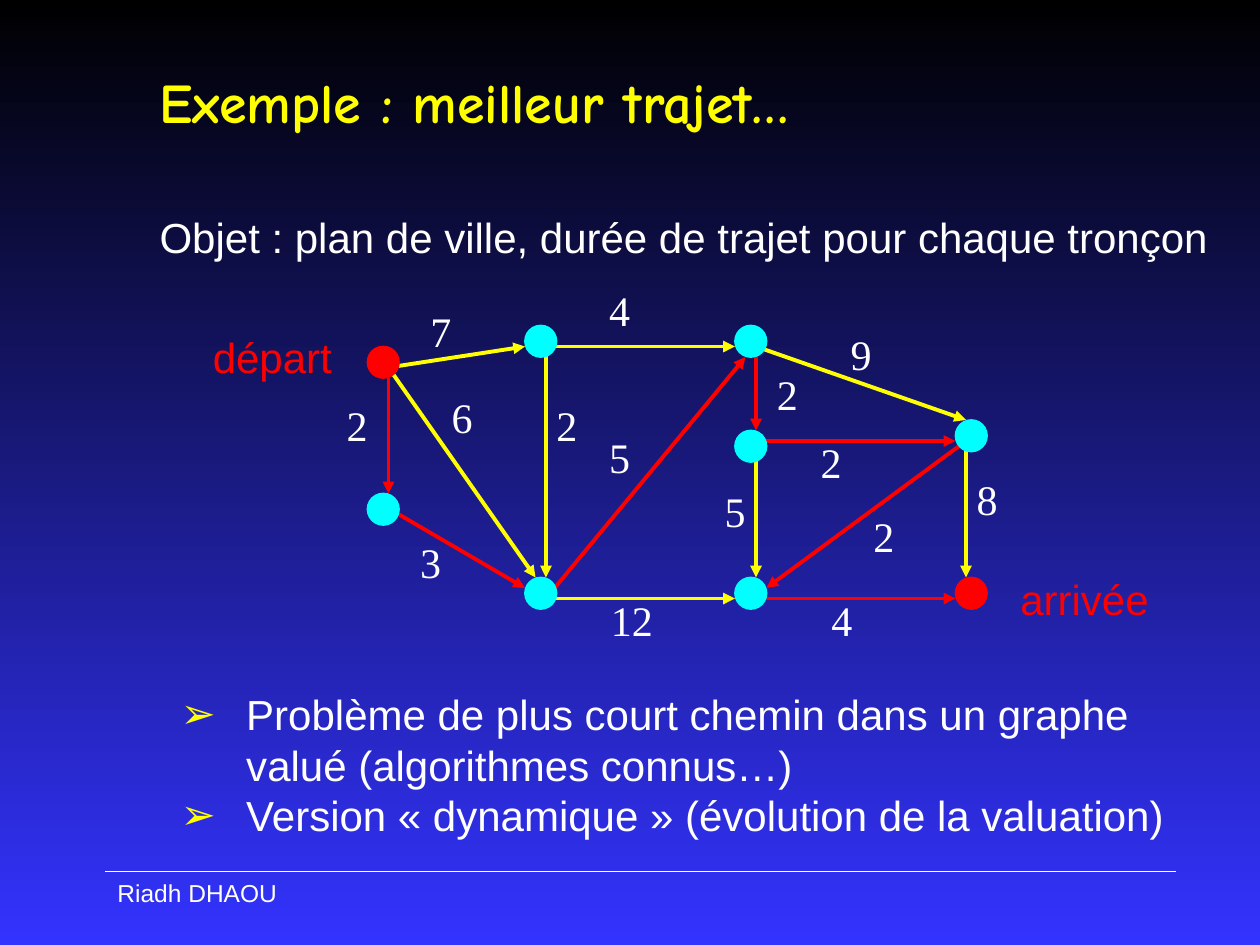
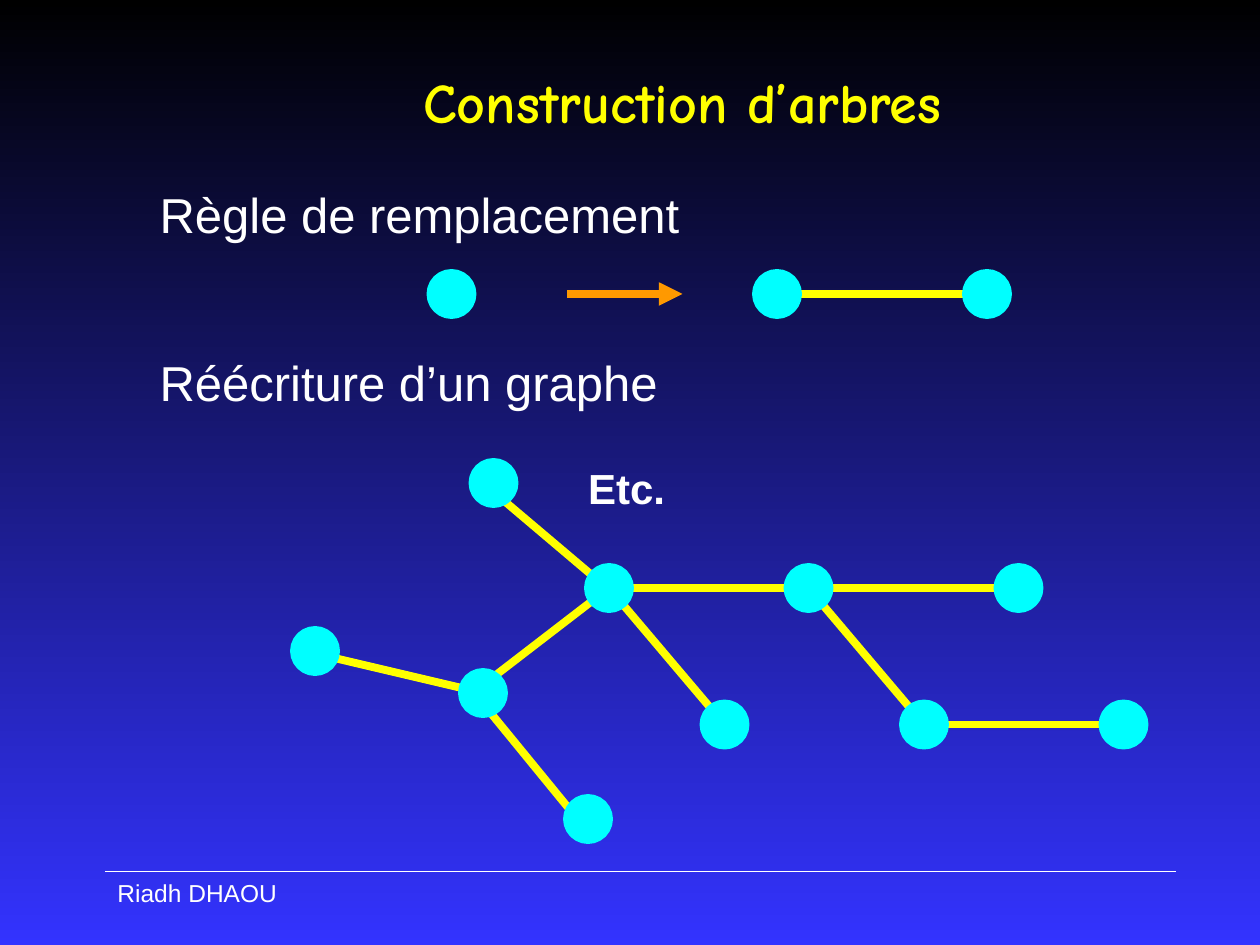
from lxml.etree import SubElement
from pptx import Presentation
from pptx.dml.color import RGBColor
from pptx.enum.shapes import MSO_CONNECTOR, MSO_SHAPE
from pptx.enum.text import MSO_ANCHOR, MSO_AUTO_SIZE, PP_ALIGN
from pptx.oxml.ns import qn
from pptx.util import Pt

COLOURS = {
    "sky": "000000", "ground": "3333FF", "text": "FFFFFF", "accent": "FFFF00",
    "node": "00FFFF", "route": "FF0000", "rewrite": "FF9900",
}
TITLE_FONT, TEXT_FONT, NUMBER_FONT = "Comic Neue", "Arial", "Times New Roman"
TITLE_BOX = (84, 13, 612, 90)
TWO_CONTENT = 3

# Graph of the town: node corners, then start, end, duration, label corner, on best route
STOPS = [(90, 0), (0, 96), (210, 60), (210, 144), (210, 0), (336, 54), (90, 144)]
TERMINALS = [(0, 12), (336, 144)]
STREETS = [
    ((12, 24), (96, 144), "6", (41, 34), False),
    ((222, 72), (222, 144), "5", (197, 88), False),
    ((102, 156), (210, 156), "12", (138, 150), False),
    ((222, 12), (342, 54), "9", (269, -2), False),
    ((342, 60), (342, 144), "8", (341, 81), False),
    ((102, 12), (210, 12), "4", (131, -27), False),
    ((102, 12), (102, 144), "2", (101, 39), False),
    ((12, 24), (90, 12), "7", (29, -15), False),
    ((102, 156), (216, 18), "5", (131, 57), True),
    ((222, 6), (222, 60), "2", (227, 21), True),
    ((228, 66), (336, 66), "2", (252, 60), True),
    ((228, 156), (336, 156), "4", (258, 150), True),
    ((342, 66), (228, 150), "2", (282, 102), True),
    ((12, 30), (12, 96), "2", (-19, 39), True),
    ((18, 108), (90, 150), "3", (23, 117), True),
]

# Tree: node corners and branch ends
TREE_NODES = [(0, 96), (156, 192), (462, 138), (102, 0), (96, 120), (402, 60),
              (234, 138), (348, 138), (282, 60), (168, 60)]
BRANCHES = [
    ((108, 132), (6, 108)), ((108, 138), (162, 204)), ((360, 150), (468, 150)),
    ((186, 78), (108, 12)), ((180, 72), (102, 132)), ((300, 72), (408, 72)),
    ((180, 72), (246, 150)), ((294, 72), (360, 150)), ((180, 72), (288, 72)),
]


def colour(name):
    return RGBColor.from_string(COLOURS[name])


def shift(origin, point):
    return origin[0] + point[0], origin[1] + point[1]


def write_text(frame, *lines, size=24, font=TEXT_FONT, ink="text", bold=False,
               align=PP_ALIGN.LEFT, anchor=MSO_ANCHOR.TOP, wrap=True,
               bullet=None, indent=0):
    """Fill a text frame, one paragraph for each line."""
    frame.auto_size = MSO_AUTO_SIZE.NONE
    frame.word_wrap = wrap
    frame.vertical_anchor = anchor
    for number, line in enumerate(lines):
        para = frame.add_paragraph() if number else frame.paragraphs[0]
        properties = para._p.get_or_add_pPr()
        properties.set("marL", str(Pt(indent)))
        properties.set("indent", str(-Pt(indent)))
        if bullet:
            tint = SubElement(properties, qn("a:buClr"))
            SubElement(tint, qn("a:srgbClr"), val=COLOURS["accent"])
            SubElement(properties, qn("a:buChar"), char=bullet)
        else:
            SubElement(properties, qn("a:buNone"))
        para.alignment = align
        para.space_before = Pt(0)
        span = para.add_run()
        span.text = line
        span.font.name = font
        span.font.size = Pt(size)
        span.font.bold = bold
        span.font.color.rgb = colour(ink)


def add_label(page, text, corner, width, height=36, **form):
    box = page.shapes.add_textbox(*map(Pt, (*corner, width, height)))
    write_text(box.text_frame, text, **form)


def fill_placeholder(page, index, box, *lines, **form):
    holder = page.placeholders[index]
    holder.left, holder.top, holder.width, holder.height = map(Pt, box)
    write_text(holder.text_frame, *lines, **form)


def add_line(page, start, end, ink="accent", weight=2.25, arrow=False):
    line = page.shapes.add_connector(MSO_CONNECTOR.STRAIGHT, *map(Pt, (*start, *end)))
    line.line.color.rgb = colour(ink)
    line.line.width = Pt(weight)
    properties = line._element.spPr
    if arrow:
        SubElement(properties.find(qn("a:ln")), qn("a:tailEnd"), type="triangle")
    SubElement(properties, qn("a:effectLst"))


def add_node(page, corner, size, weight, ink="node"):
    node = page.shapes.add_shape(MSO_SHAPE.OVAL, *map(Pt, (*corner, size, size)))
    node.shadow.inherit = False
    node.fill.solid()
    node.fill.fore_color.rgb = colour(ink)
    node.line.color.rgb = colour(ink)
    node.line.width = Pt(weight)


def paint_background(deck):
    fill = deck.slide_master.background.fill
    fill.gradient()
    fill.gradient_angle = 270
    for stop, name in zip(fill.gradient_stops, ("sky", "ground")):
        stop.color.rgb = colour(name)


def add_page(deck, title, align):
    """New slide with the shared title style and footer."""
    page = deck.slides.add_slide(deck.slide_layouts[TWO_CONTENT])
    fill_placeholder(page, 0, TITLE_BOX, title, size=32, font=TITLE_FONT,
                     ink="accent", bold=True, align=align, anchor=MSO_ANCHOR.MIDDLE)
    add_line(page, (60, 498), (672, 498), ink="text", weight=1)
    add_label(page, "Riadh DHAOU", (60, 498), 138, 24, size=14)
    return page


def draw_town(page, origin):
    """Weighted graph with its best route."""
    for start, end, duration, spot, on_route in STREETS:
        add_line(page, shift(origin, start), shift(origin, end),
                 ink="route" if on_route else "accent", arrow=True)
        add_label(page, duration, shift(origin, spot), 26, font=NUMBER_FONT,
                  align=PP_ALIGN.CENTER, wrap=False)
    for ink, corners in (("node", STOPS), ("route", TERMINALS)):
        for corner in corners:
            add_node(page, shift(origin, corner), 18, 1, ink)
    add_label(page, "départ", shift(origin, (-95.5, 0)), 82, ink="route", wrap=False)
    add_label(page, "arrivée", shift(origin, (366, 138)), 88, ink="route", wrap=False)


def draw_rule(page, origin):
    """Replacement rule: one node becomes two linked nodes."""
    add_line(page, shift(origin, (78, 12)), shift(origin, (144, 12)),
             ink="rewrite", weight=4.5, arrow=True)
    add_line(page, shift(origin, (204, 12)), shift(origin, (312, 12)), weight=4.5)
    for left in (0, 186, 306):
        add_node(page, shift(origin, (left, 0)), 24, 4.5)


def draw_tree(page, origin):
    """Tree grown by the rule."""
    for start, end in BRANCHES:
        add_line(page, shift(origin, start), shift(origin, end), weight=4.5)
    for corner in TREE_NODES:
        add_node(page, shift(origin, corner), 24, 4.5)
    add_label(page, "Etc.", shift(origin, (161, -3)), 58, bold=True, wrap=False)


def build_route_page(deck):
    page = add_page(deck, "Exemple : meilleur trajet…", PP_ALIGN.LEFT)
    fill_placeholder(page, 1, (84, 117.5, 620, 44),
                     "Objet : plan de ville, durée de trajet pour chaque tronçon")
    draw_town(page, (210, 186))
    fill_placeholder(page, 2, (96, 390, 588, 94),
                     "Problème de plus court chemin dans un graphe valué (algorithmes connus…)",
                     "Version « dynamique » (évolution de la valuation)",
                     bullet="➢", indent=37.5)


def build_tree_page(deck):
    page = add_page(deck, "Construction d’arbres", PP_ALIGN.CENTER)
    headings = ("Règle de remplacement", "Réécriture d’un graphe")
    for index, heading in enumerate(headings):
        fill_placeholder(page, index + 1, (84, 102 + 96 * index, 324, 48), heading, size=28)
    draw_rule(page, (246, 156))
    draw_tree(page, (168, 264))


def main():
    deck = Presentation()
    deck.slide_width, deck.slide_height = Pt(720), Pt(540)
    paint_background(deck)
    build_route_page(deck)
    build_tree_page(deck)
    deck.save("out.pptx")


if __name__ == "__main__":
    main()
